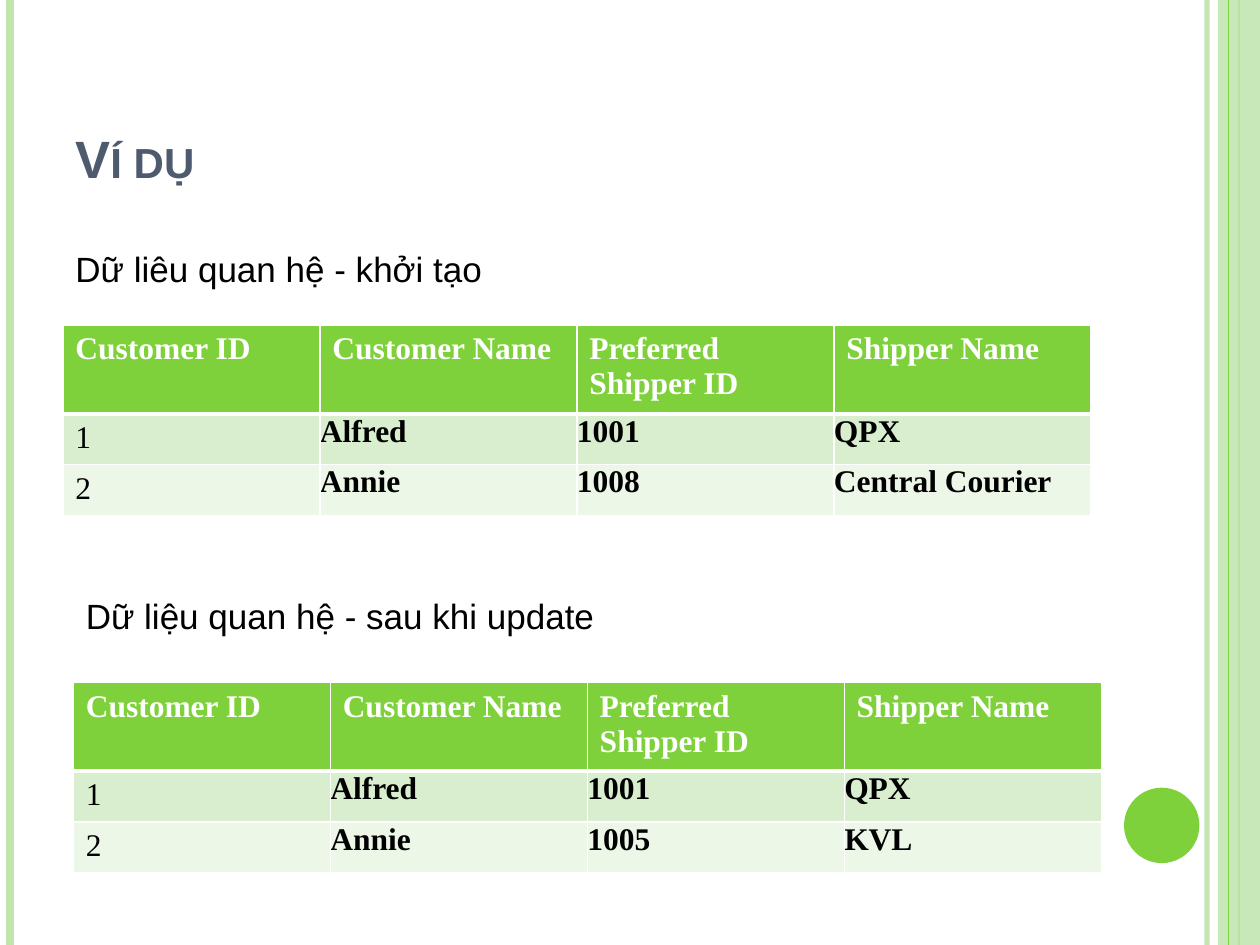
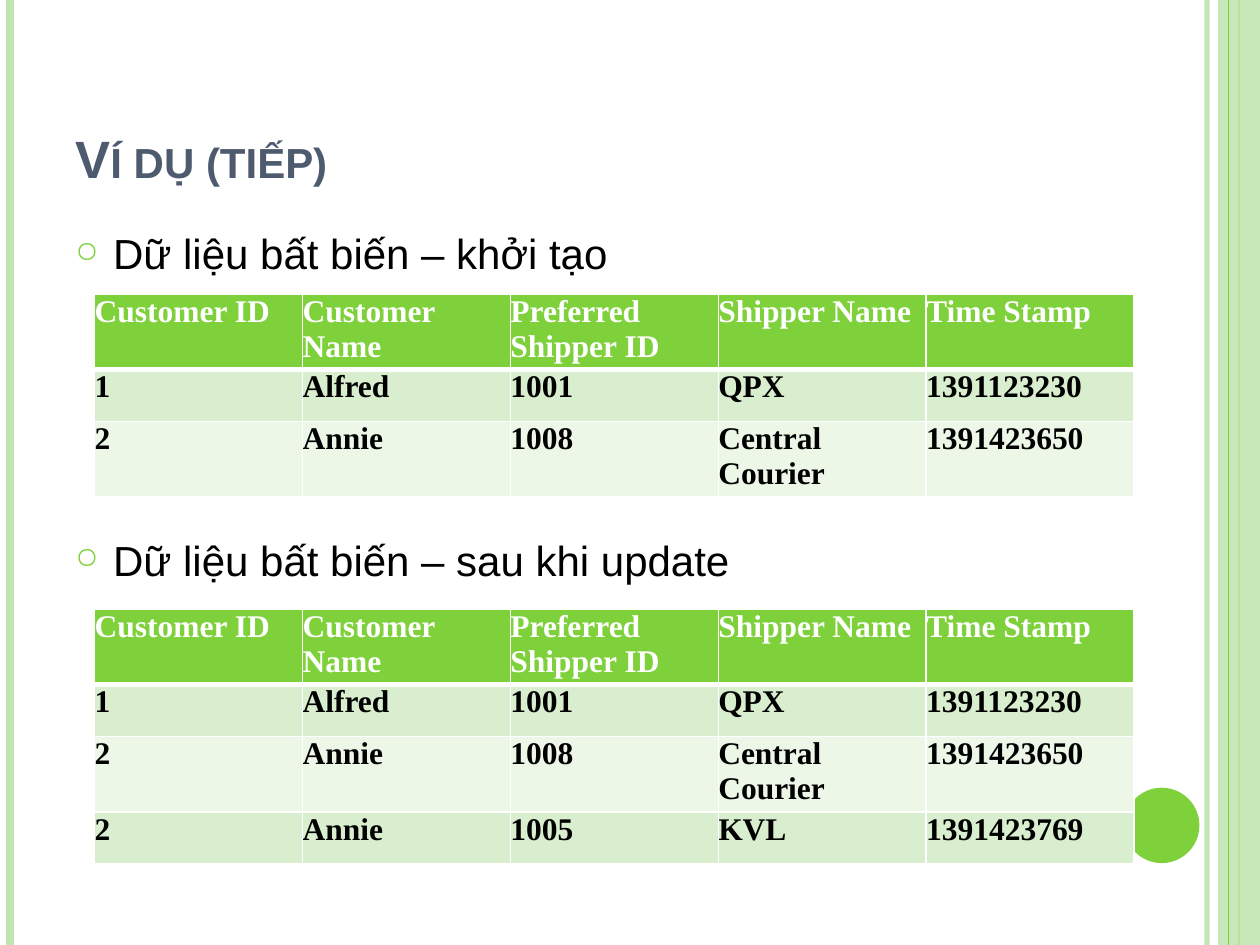
import pptx
import pptx.util
import pptx.dml.color
import pptx.enum.shapes
import pptx.enum.text
import pptx.oxml.ns
from lxml import etree

Cm = pptx.util.Cm
Pt = pptx.util.Pt
RGB = pptx.dml.color.RGBColor
MSO_SHAPE = pptx.enum.shapes.MSO_SHAPE
qn = pptx.oxml.ns.qn

GREEN = RGB(0x7F, 0xD1, 0x3B)
PALE_GREEN = RGB(0xC0, 0xE5, 0xAF)
SLATE = RGB(0x4E, 0x5B, 0x6F)
BLACK = RGB(0, 0, 0)
WHITE = RGB(0xFF, 0xFF, 0xFF)
ROW_FILLS = [RGB(0xD8, 0xEE, 0xCE), RGB(0xEC, 0xF7, 0xE8)]

HEAD = ["Customer ID", "Customer Name", "Preferred Shipper ID", "Shipper Name"]
ALFRED = ["1", "Alfred", "1001", "QPX"]
ANNIE_OLD = ["2", "Annie", "1008", "Central Courier"]
ANNIE_NEW = ["2", "Annie", "1005", "KVL"]


def add_run(p, text, size, color, font="Arial", bold=False):
    r = p.add_run()
    r.text = text
    r.font.size = Pt(size)
    r.font.name = font
    r.font.bold = bold
    r.font.color.rgb = color
    return r


def add_grid(s, rows, left, top, col_width, heights, padded):
    """Table with a green header; padded keeps insets on header and first column."""
    tbl = s.shapes.add_table(len(rows), len(rows[0]), Cm(left), Cm(top),
                             Cm(col_width * len(rows[0])), Cm(sum(heights))).table
    tbl.horz_banding = False
    for col in tbl.columns:
        col.width = Cm(col_width)
    for i, row in enumerate(rows):
        tbl.rows[i].height = Cm(heights[i])
        for j, text in enumerate(row):
            cell = tbl.cell(i, j)
            inset = padded and (i == 0 or j == 0)
            cell.margin_left = cell.margin_right = Cm(0.25 if inset else 0)
            cell.margin_top = cell.margin_bottom = Cm(0.13 if inset else 0)
            # White borders, thicker under the header
            for side in "LRTB":
                thick = (i, side) in [(0, "B"), (1, "T")]
                ln = etree.SubElement(cell._tc.get_or_add_tcPr(), qn("a:ln" + side),
                                      w=str(Pt(3 if thick else 1)))
                fill = etree.SubElement(ln, qn("a:solidFill"))
                etree.SubElement(fill, qn("a:srgbClr"), val=str(WHITE))
            cell.fill.solid()
            cell.fill.fore_color.rgb = ROW_FILLS[(i - 1) % 2] if i else GREEN
            add_run(cell.text_frame.paragraphs[0], text, 18, BLACK if i else WHITE,
                    "Times New Roman", bold=not (inset and i > 0))


prs = pptx.Presentation()
prs.slide_width, prs.slide_height = Cm(25.4), Cm(19.05)

# Shared frame and title
for title in ["Ví dụ", "Ví dụ (tiếp)"]:
    s = prs.slides.add_slide(prs.slide_layouts[6])

    # Side lines and band; the band covers the line at its middle
    for x, color, width, alpha in [(24.33, PALE_GREEN, 3, 93), (0.21, PALE_GREEN, 4.5, 100),
                                   (24.98, GREEN, 1.5, 100), (None, PALE_GREEN, 0, 87),
                                   (24.77, GREEN, 0.75, 100)]:
        if x is None:
            sp = s.shapes.add_shape(MSO_SHAPE.RECTANGLE, Cm(24.55), 0, Cm(0.85), prs.slide_height)
            sp.shadow.inherit = False
            sp.fill.solid()
            sp.fill.fore_color.rgb = color
            sp.line.fill.background()
        else:
            sp = s.shapes.add_connector(pptx.enum.shapes.MSO_CONNECTOR.STRAIGHT,
                                        Cm(x), 0, Cm(x), prs.slide_height)
            sp.line.color.rgb = color
            sp.line.width = Pt(width)
            etree.SubElement(sp._element.spPr, qn("a:effectLst"))
        if alpha < 100:
            clr = next(sp._element.spPr.iter(qn("a:srgbClr")))
            etree.SubElement(clr, qn("a:alpha"), val=str(alpha * 1000))

    # Corner disc
    sp = s.shapes.add_shape(MSO_SHAPE.OVAL, Cm(22.66), Cm(15.88), Cm(1.52), Cm(1.52))
    sp.shadow.inherit = False
    sp.fill.solid()
    sp.fill.fore_color.rgb = GREEN
    sp.line.fill.background()

    # Title in small caps
    tf = s.shapes.add_textbox(Cm(1.27), Cm(0.76), Cm(20.75), Cm(3.18)).text_frame
    tf.word_wrap = True
    tf.vertical_anchor = pptx.enum.text.MSO_ANCHOR.BOTTOM
    r = add_run(tf.paragraphs[0], title, 30, SLATE, bold=True)
    r.font._element.set("cap", "small")

relational, immutable = prs.slides

# Relational data: caption above each table
for caption, left, top, table_top, heights, annie in [
        ("Dữ liêu quan hệ - khởi tạo", 1.27, 4.87, 6.56, [1.65, 0.95, 0.95], ANNIE_OLD),
        ("Dữ liệu quan hệ - sau khi update", 1.48, 11.86, 13.76, [1.75, 1.02, 1.02], ANNIE_NEW)]:
    tf = relational.shapes.add_textbox(Cm(left), Cm(top), Cm(20), Cm(1.11)).text_frame
    tf.word_wrap = True
    add_run(tf.paragraphs[0], caption, 20, BLACK)
    add_grid(relational, [HEAD, ALFRED, annie], left, table_top, 5.18, heights, padded=True)

# Immutable data: bulleted captions
tf = immutable.shapes.add_textbox(Cm(1.27), Cm(4.47), Cm(20.75), Cm(13.55)).text_frame
tf.word_wrap = True
for i, caption in enumerate(["Dữ liệu bất biến – khởi tạo", "Dữ liệu bất biến – sau khi update"]):
    p = tf.add_paragraph() if i else tf.paragraphs[0]
    pPr = p._p.get_or_add_pPr()
    pPr.set("marL", str(Cm(0.76)))
    pPr.set("indent", str(-Cm(0.76)))
    if i:
        p.space_before = Pt(146.5)
    etree.SubElement(etree.SubElement(pPr, qn("a:buClr")), qn("a:srgbClr"), val=str(GREEN))
    etree.SubElement(pPr, qn("a:buSzPct"), val="70000")
    etree.SubElement(pPr, qn("a:buChar"), char="○")
    add_run(p, caption, 24, BLACK)

# Immutable data: the update adds a time-stamped row
history = [HEAD + ["Time Stamp"], ALFRED + ["1391123230"],
           ANNIE_OLD + ["1391423650"], ANNIE_NEW + ["1391423769"]]
heights = [1.38, 1.04, 1.4, 1.04]
for top, count in [(5.93, 3), (12.28, 4)]:
    add_grid(immutable, history[:count], 1.91, top, 4.19, heights[:count], padded=False)

prs.save("out.pptx")
